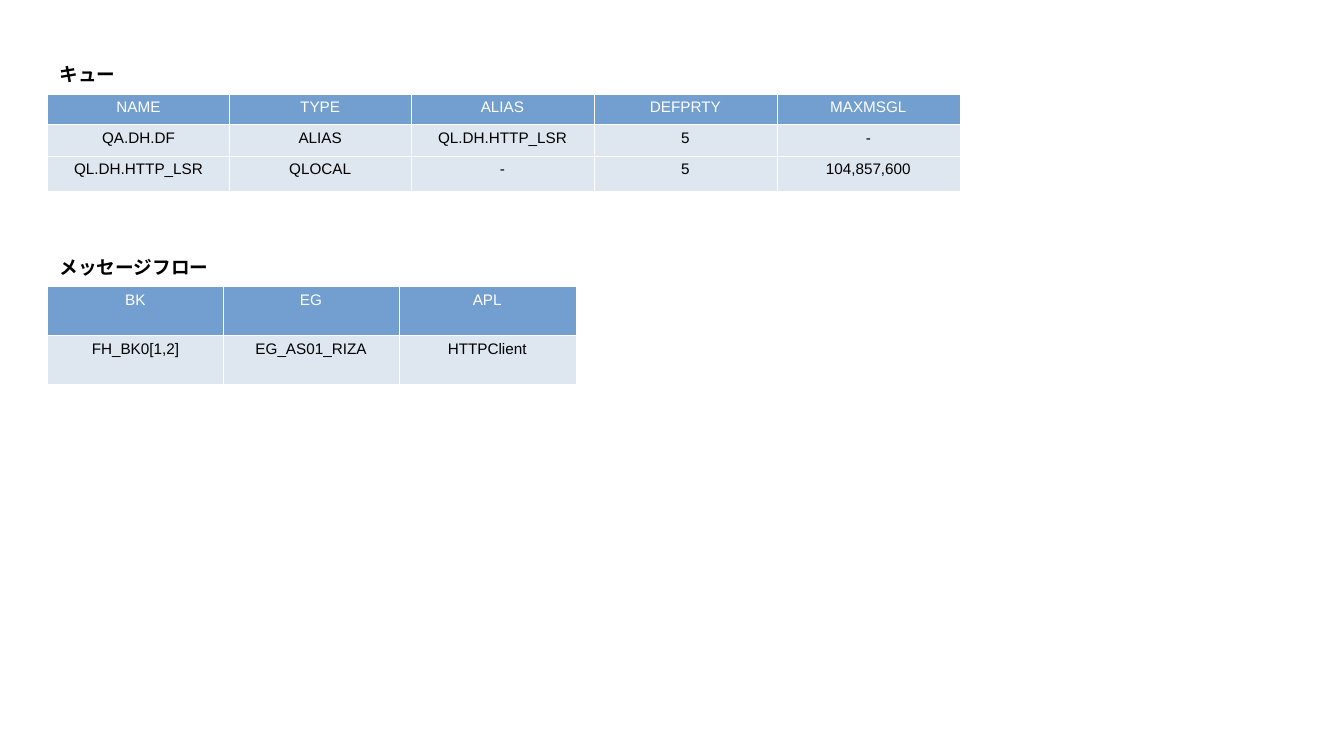
from dataclasses import dataclass

from lxml import etree
from pptx import Presentation
from pptx.dml.color import RGBColor
from pptx.enum.dml import MSO_LINE
from pptx.enum.shapes import MSO_SHAPE
from pptx.enum.text import MSO_ANCHOR, PP_ALIGN
from pptx.oxml.ns import qn
from pptx.util import Inches, Pt

RECTANGLE = MSO_SHAPE.RECTANGLE
DOTTED = MSO_LINE.ROUND_DOT
MIDDLE = MSO_ANCHOR.MIDDLE
LEFT, CENTER = PP_ALIGN.LEFT, PP_ALIGN.CENTER


@dataclass(frozen=True)
class Theme:
    font: str = "Arial"
    heading_size: float = 11
    cell_size: float = 9
    line_spacing: float = 0.93
    border_width: float = 0.06
    white: str = "FFFFFF"
    black: str = "000000"
    header_fill: str = "729FCF"
    body_fill: str = "DEE6EF"


THEME = Theme()


def write(frame, text, size, color, align, bold=False):
    frame.text = text
    paragraph = frame.paragraphs[0]
    paragraph.alignment = align
    paragraph.line_spacing = THEME.line_spacing
    font = paragraph.runs[0].font
    font.name = THEME.font
    font.size = Pt(size)
    font.bold = bold
    font.color.rgb = RGBColor.from_string(color)


def add_borders(cell):
    properties = cell._tc.get_or_add_tcPr()
    for side in ("a:lnL", "a:lnR", "a:lnT", "a:lnB"):
        border = etree.SubElement(properties, qn(side), w=str(Pt(THEME.border_width)))
        fill = etree.SubElement(border, qn("a:solidFill"))
        etree.SubElement(fill, qn("a:srgbClr"), val=THEME.white)


# Heading, heading top, column widths, row heights, rows
SECTIONS = [
    ("キュー", 0.46, [1.49, 1.49, 1.5, 1.5, 1.5], [0.25, 0.26, 0.29], [
        ["NAME", "TYPE", "ALIAS", "DEFPRTY", "MAXMSGL"],
        ["QA.DH.DF", "ALIAS", "QL.DH.HTTP_LSR", "5", "-"],
        ["QL.DH.HTTP_LSR", "QLOCAL", "-", "5", "104,857,600"],
    ]),
    ("メッセージフロー", 2.04, [1.44, 1.44, 1.45], [0.4, 0.4], [
        ["BK", "EG", "APL"],
        ["FH_BK0[1,2]", "EG_AS01_RIZA", "HTTPClient"],
    ]),
]
MARGIN_LEFT = Inches(0.39)
HEADING_WIDTH, HEADING_HEIGHT = 2.6, 0.31

prs = Presentation()
prs.slide_width, prs.slide_height = Inches(11.02), Inches(6.2)
blank_layout = prs.slide_layouts[6]
slide = prs.slides.add_slide(blank_layout)

for title, top, widths, heights, rows in SECTIONS:
    # Section heading
    heading = slide.shapes.add_shape(
        RECTANGLE, MARGIN_LEFT, Inches(top),
        Inches(HEADING_WIDTH), Inches(HEADING_HEIGHT))
    heading.shadow.inherit = False
    heading.fill.solid()
    heading.fill.fore_color.rgb = RGBColor.from_string(THEME.white)
    heading.line.color.rgb = RGBColor.from_string(THEME.white)
    heading.line.width = Pt(0.74)
    heading.line.dash_style = DOTTED
    frame = heading.text_frame
    frame.word_wrap = True
    frame.vertical_anchor = MIDDLE
    frame.margin_left = frame.margin_right = Inches(0.1)
    frame.margin_top, frame.margin_bottom = Inches(0.06), Inches(0.05)
    write(frame, title, THEME.heading_size, THEME.black, LEFT, bold=True)

    # Table directly below its heading
    table = slide.shapes.add_table(
        len(rows), len(widths), MARGIN_LEFT, Inches(top + HEADING_HEIGHT),
        Inches(sum(widths)), Inches(sum(heights))).table
    for column, width in zip(table.columns, widths):
        column.width = Inches(width)
    for row, height in zip(table.rows, heights):
        row.height = Inches(height)

    # Header row and body rows
    for r, values in enumerate(rows):
        is_header = r == 0
        fill_color = THEME.header_fill if is_header else THEME.body_fill
        text_color = THEME.white if is_header else THEME.black
        for c, value in enumerate(values):
            cell = table.cell(r, c)
            cell.margin_left = cell.margin_right = Inches(0.1)
            cell.margin_top = cell.margin_bottom = Inches(0.05)
            add_borders(cell)
            cell.fill.solid()
            cell.fill.fore_color.rgb = RGBColor.from_string(fill_color)
            write(cell.text_frame, value, THEME.cell_size, text_color, CENTER)

prs.save("out.pptx")
